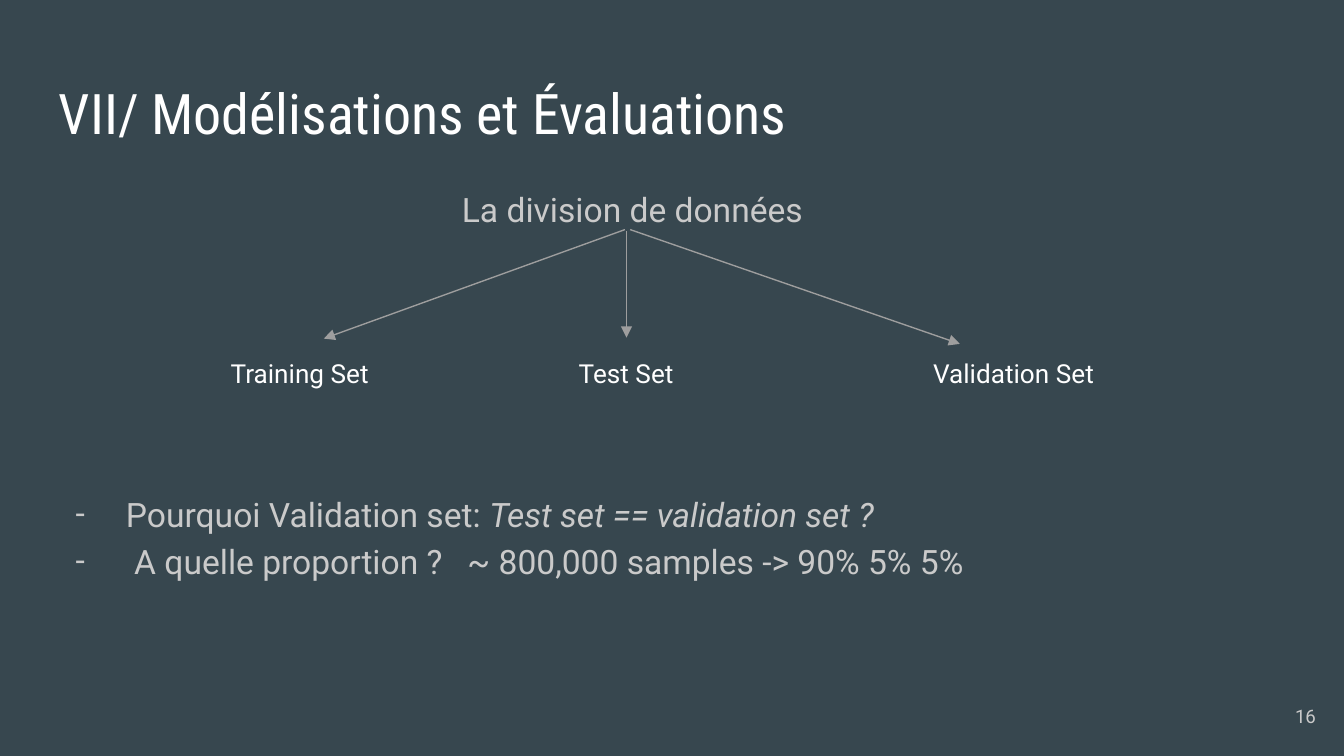
from lxml.etree import SubElement
from pptx import Presentation
from pptx.dml.color import RGBColor
from pptx.enum.shapes import MSO_CONNECTOR as Connector
from pptx.enum.text import MSO_ANCHOR as Anchor, MSO_AUTO_SIZE as AutoSize, PP_ALIGN as Align
from pptx.oxml.ns import qn
from pptx.util import Cm, Pt

SLATE = RGBColor(0x37, 0x47, 0x4F)
WHITE = RGBColor(0xFF, 0xFF, 0xFF)
LIGHT_GREY = RGBColor(0xCA, 0xCA, 0xCA)
ARROW_GREY = RGBColor(0x9E, 0x9E, 0x9E)


def place(shape, left, top, width, height, anchor=Anchor.TOP):
    shape.left, shape.top, shape.width, shape.height = map(Cm, (left, top, width, height))
    frame = shape.text_frame
    frame.word_wrap = True
    frame.auto_size = AutoSize.NONE
    frame.vertical_anchor = anchor
    frame.margin_left = frame.margin_right = Cm(0.25)
    frame.margin_top = frame.margin_bottom = Cm(0.25)
    return frame


def add_run(paragraph, text, size, color, font="Roboto", italic=False):
    run = paragraph.add_run()
    run.text = text
    run.font.size = Pt(size)
    run.font.name = font
    run.font.italic = italic
    run.font.color.rgb = color


prs = Presentation()
prs.slide_width, prs.slide_height = Cm(25.4), Cm(14.29)
slide = prs.slides.add_slide(prs.slide_layouts[1])
slide.background.fill.solid()
slide.background.fill.fore_color.rgb = SLATE

heading = place(slide.shapes.title, 0.86, 1.24, 23.67, 1.6).paragraphs[0]
heading.alignment = Align.LEFT
add_run(heading, "VII/ Modélisations et Évaluations", 30, WHITE, "Roboto Condensed")

body = place(slide.placeholders[1], 0.86, 3.2, 23.67, 9.5)
body_lines = [
    (6.35, 1.27, 0, None, [("La division de données", False)]),
    (1.27, -0.95, 139, "-", [("Pourquoi Validation set: ", False),
                             ("Test set == validation set ?", True)]),
    (1.27, -0.95, 0, "-", [(" A quelle proportion ?   ~ 800,000 samples -> 90% 5% 5%", False)]),
]
for index, (margin, indent, gap, bullet, pieces) in enumerate(body_lines):
    line = body.paragraphs[0] if index == 0 else body.add_paragraph()
    line.line_spacing = 1.15
    line.space_before = Pt(gap)
    props = line._p.get_or_add_pPr()
    props.set("marL", str(Cm(margin)))
    props.set("indent", str(Cm(indent)))
    if bullet:
        bullet_color = SubElement(props, qn("a:buClr"))
        SubElement(bullet_color, qn("a:srgbClr"), val=str(LIGHT_GREY))
        SubElement(props, qn("a:buFont"), typeface="Roboto")
        SubElement(props, qn("a:buChar"), char=bullet)
    else:
        SubElement(props, qn("a:buNone"))
    for text, italic in pieces:
        add_run(line, text, 18, LIGHT_GREY, italic=italic)

page_box = slide.shapes.add_textbox(0, 0, 0, 0)
page_number = place(page_box, 23.6, 13, 1.52, 1.09, Anchor.MIDDLE).paragraphs[0]
page_number.alignment = Align.RIGHT
add_run(page_number, "16", 10, LIGHT_GREY)

branches = [
    ("Training Set", 2.82, (11.81, 4.34, 6.12, 6.4)),
    ("Test Set", 8.99, (11.84, 4.37, 11.84, 6.38)),
    ("Validation Set", 16.31, (11.91, 4.34, 18.14, 6.5)),
]
for name, left, ends in branches:
    arrow = slide.shapes.add_connector(Connector.STRAIGHT, *map(Cm, ends))
    arrow.line.color.rgb = ARROW_GREY
    arrow.line.width = Pt(0.75)
    SubElement(arrow.line._get_or_add_ln(), qn("a:tailEnd"), type="triangle", w="med", len="med")
    SubElement(arrow._element.spPr, qn("a:effectLst"))

    set_box = slide.shapes.add_textbox(0, 0, 0, 0)
    set_label = place(set_box, left, 6.5, 5.69, 1.27).paragraphs[0]
    set_label.alignment = Align.CENTER
    add_run(set_label, name, 14, WHITE)

prs.save("out.pptx")
